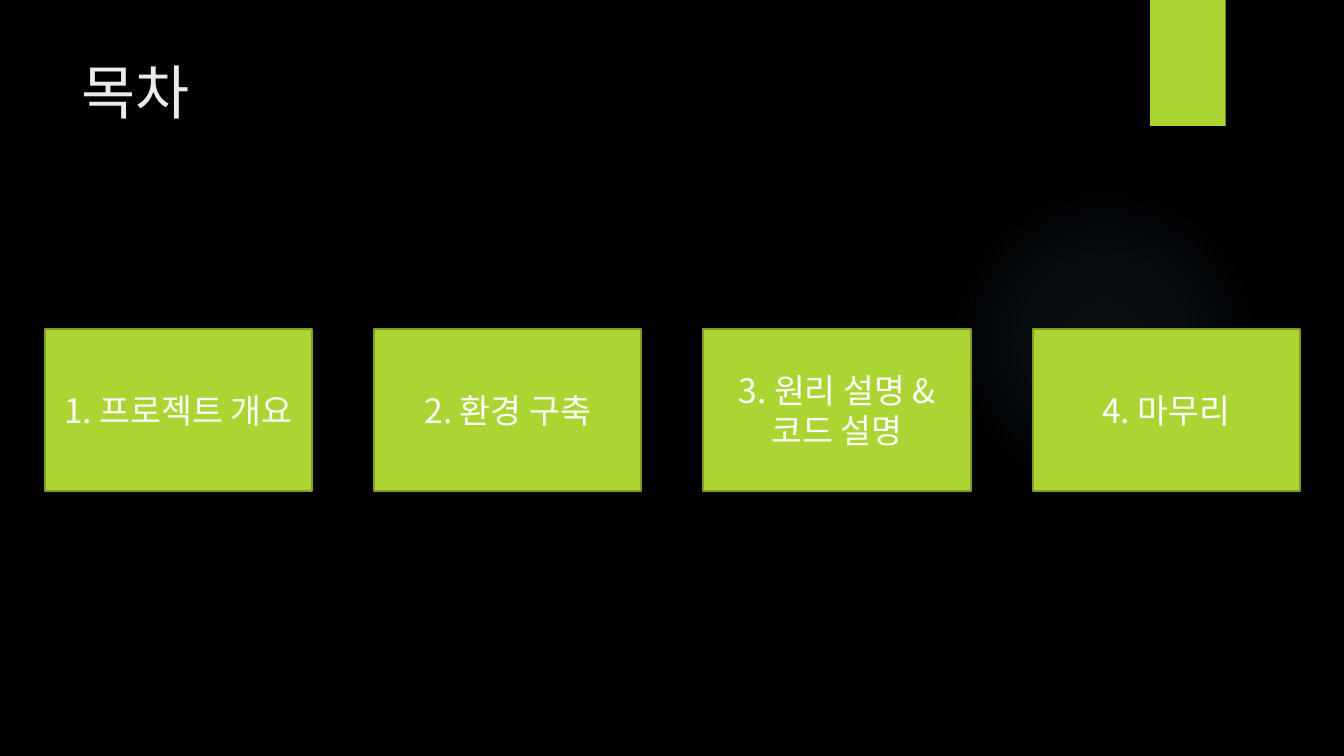
from pptx import Presentation
from pptx.dml.color import RGBColor
from pptx.enum.shapes import MSO_SHAPE
from pptx.enum.text import MSO_ANCHOR, MSO_AUTO_SIZE, PP_ALIGN
from pptx.oxml import parse_xml
from pptx.oxml.ns import nsdecls, qn
from pptx.util import Pt


def paint(color):
    """Turn a hex string into a colour."""
    return RGBColor.from_string(color)


def write(frame, text, size, color, font, align=PP_ALIGN.LEFT,
          anchor=MSO_ANCHOR.TOP, lead=None):
    """Fill a text frame, one paragraph per line of text."""
    frame.word_wrap = True
    frame.auto_size = MSO_AUTO_SIZE.NONE
    frame.vertical_anchor = anchor
    frame.text = text
    for para in frame.paragraphs:
        para.alignment = align
        para.line_spacing = lead
        para.space_before = Pt(0)
        for run in para.runs:
            run.font.size = Pt(size)
            run.font.name = font
            run.font.color.rgb = paint(color)
            east = run.font._element.makeelement(
                qn("a:ea"), {"typeface": Deck.HAN})
            run.font._element.find(qn("a:latin")).addnext(east)


class Deck:
    """Hold the style and the current slide."""

    LIME, EDGE, WHITE, PALE, BLUE = (
        "ACD433", "7F9D26", "FFFFFF", "EBEBEB", "7AC4F0")
    HAN, LATIN = "Noto Sans CJK KR", "TeX Gyre Adventor"

    def __init__(self, prs):
        """Add a black slide with a title."""
        self.slide = prs.slides.add_slide(prs.slide_layouts[5])
        back = self.slide.background.fill
        back.solid()
        back.fore_color.rgb = paint("000000")

    def shape(self, kind, left, top, width, height):
        """Add a plain shape without line or shadow."""
        item = self.slide.shapes.add_shape(
            kind, Pt(left), Pt(top), Pt(width), Pt(height))
        item.shadow.inherit = False
        item.line.fill.background()
        return item

    def glow(self, left, top, size, stops):
        """Add a round glow from (place, opacity) stops in percent."""
        item = self.shape(MSO_SHAPE.OVAL, left, top, size, size)
        item.fill.background()
        marks = "".join(
            f'<a:gs pos="{place * 1000}"><a:srgbClr val="{self.BLUE}">'
            f'<a:alpha val="{alpha * 1000}"/></a:srgbClr></a:gs>'
            for place, alpha in stops)
        grad = parse_xml(
            f'<a:gradFill {nsdecls("a")}><a:gsLst>{marks}</a:gsLst>'
            '<a:path path="circle"><a:fillToRect l="50000" t="50000" '
            'r="50000" b="50000"/></a:path></a:gradFill>')
        props = item._element.spPr
        props.replace(props.find(qn("a:noFill")), grad)

    def block(self, left, top, width, height):
        """Add a lime rectangle."""
        item = self.shape(MSO_SHAPE.RECTANGLE, left, top, width, height)
        item.fill.solid()
        item.fill.fore_color.rgb = paint(self.LIME)
        return item

    def card(self, text, *place):
        """Add an outlined block with centred text."""
        item = self.block(*place)
        item.line.color.rgb = paint(self.EDGE)
        item.line.width = Pt(1.5)
        write(item.text_frame, text, 24, self.WHITE, self.HAN,
              align=PP_ALIGN.CENTER, anchor=MSO_ANCHOR.MIDDLE, lead=Pt(28.5))

    def title(self, text, left, top, width, height):
        """Place and fill the title."""
        item = self.slide.shapes.title
        item.left, item.top = Pt(left), Pt(top)
        item.width, item.height = Pt(width), Pt(height)
        write(item.text_frame, text, 42, self.PALE, self.LATIN)


def main():
    """Build the contents slide."""
    prs = Presentation()
    prs.slide_width, prs.slide_height = Pt(960), Pt(540)
    deck = Deck(prs)
    deck.glow(677.5, 131.8, 221.8, [(0, 7), (36, 6), (69, 0)])
    deck.block(821.5, 0, 54, 90)
    deck.title("목차", 51, 36, 741, 110)
    parts = ["1. 프로젝트 개요", "2. 환경 구축",
             "3. 원리 설명 &\n코드 설명", "4. 마무리"]
    for num, text in enumerate(parts):
        deck.card(text, 32 + 235.2 * num, 235, 191, 115.5)
    prs.save("out.pptx")


if __name__ == "__main__":
    main()
